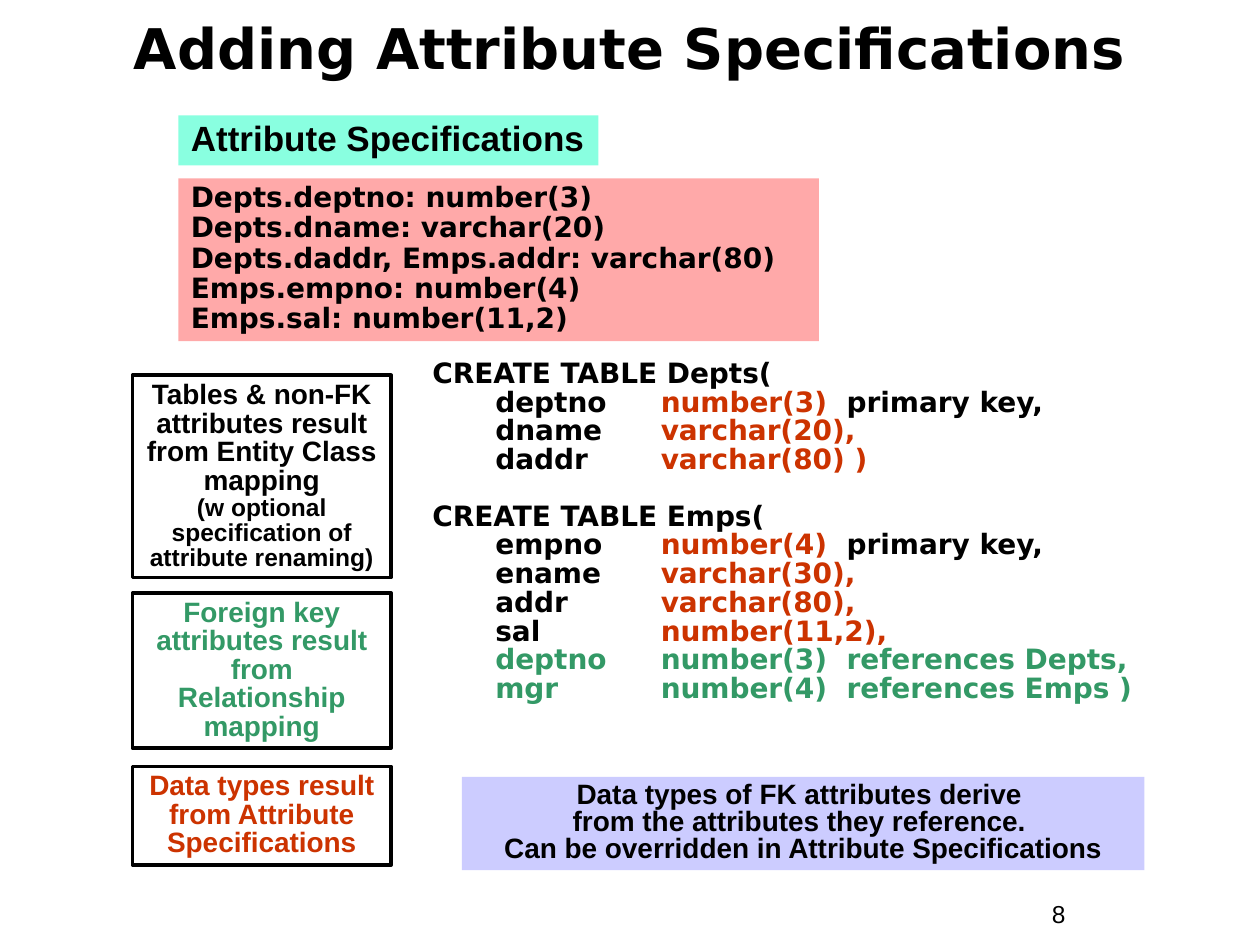
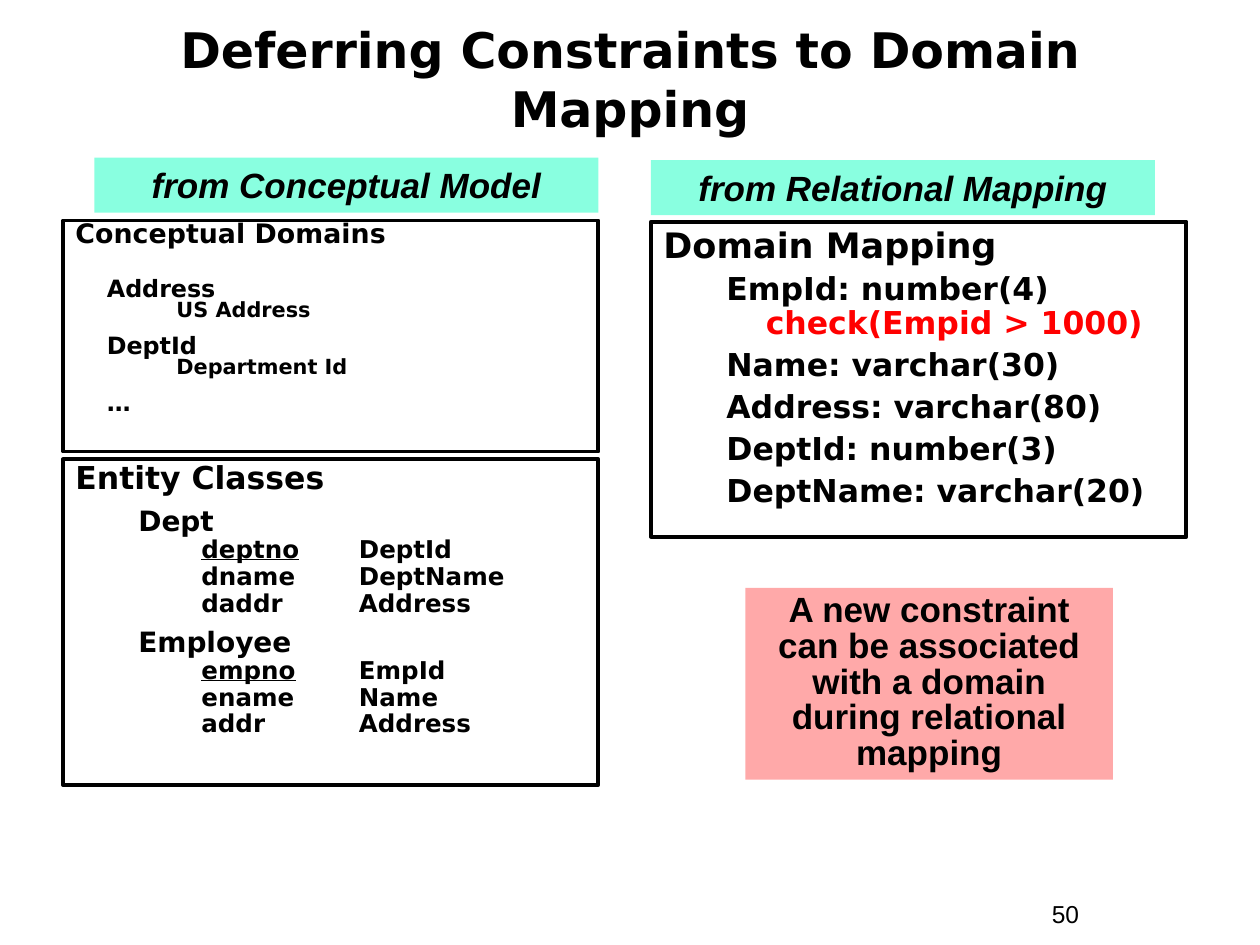
from dataclasses import dataclass

from lxml import etree
from pptx import Presentation
from pptx.dml.color import RGBColor
from pptx.enum.shapes import MSO_SHAPE
from pptx.enum.text import MSO_ANCHOR, MSO_AUTO_SIZE, PP_ALIGN
from pptx.oxml.ns import qn
from pptx.util import Emu, Pt

RECTANGLE = MSO_SHAPE.RECTANGLE
TOP, MIDDLE = MSO_ANCHOR.TOP, MSO_ANCHOR.MIDDLE
LEFT, CENTER = PP_ALIGN.LEFT, PP_ALIGN.CENTER
NO_AUTOFIT = MSO_AUTO_SIZE.NONE
EMU_PER_PX = 9525
TAB_PX = 96
TITLE_ONLY_LAYOUT = 5


@dataclass(frozen=True)
class Theme:
    sans: str = "Arial"
    wide: str = "DejaVu Sans"
    ink: str = "000000"
    mint: str = "89FFE0"
    pink: str = "FFA9A9"
    lilac: str = "CCCCFF"
    rust: str = "CC3300"
    green: str = "339966"
    red: str = "FF0000"
    heading: float = 20
    subheading: float = 18
    text: float = 16
    small: float = 14
    page_number: float = 14
    domain_sizes: tuple[float, ...] = (15.3, 13.6, 11.9)
    border: float = 2.25


THEME = Theme()


@dataclass(frozen=True)
class Area:
    left: int
    top: int
    width: int
    height: int

    def emu(self) -> list[Emu]:
        return [px(n) for n in (self.left, self.top, self.width, self.height)]


@dataclass(frozen=True)
class Run:
    text: str
    size: float = THEME.text
    color: str = THEME.ink
    underline: bool = False


@dataclass(frozen=True)
class Line:
    runs: tuple[Run, ...]
    before: float = 0
    margin: int = 0
    hanging: int = 0
    tabbed: bool = False


@dataclass(frozen=True)
class Box:
    area: Area
    lines: list[Line]
    spacing: float = 1.0
    fill: str | None = None
    bordered: bool = False
    font: str = THEME.sans
    align: PP_ALIGN = LEFT
    anchor: MSO_ANCHOR = TOP
    bold: bool = True
    italic: bool = False


def px(count: int) -> Emu:
    return Emu(count * EMU_PER_PX)


def add_run(paragraph, run: Run, box: Box) -> None:
    """Add a run, turning each newline into a line break."""
    for index, piece in enumerate(run.text.split("\n")):
        if index:
            paragraph.add_line_break()
        if not piece:
            continue
        text_run = paragraph.add_run()
        text_run.text = piece
        font = text_run.font
        font.name, font.size = box.font, Pt(run.size)
        font.bold, font.italic = box.bold, box.italic
        font.underline = run.underline
        font.color.rgb = RGBColor.from_string(run.color)


def add_tab(properties) -> None:
    properties.set("defTabSz", str(px(TAB_PX)))
    tab_list = etree.SubElement(properties, qn("a:tabLst"))
    etree.SubElement(tab_list, qn("a:tab"), pos=str(px(TAB_PX)), algn="l")


def fill_text(frame, box: Box) -> None:
    frame.word_wrap = True
    frame.auto_size = NO_AUTOFIT
    frame.vertical_anchor = box.anchor
    for index, line in enumerate(box.lines):
        paragraph = frame.add_paragraph() if index else frame.paragraphs[0]
        properties = paragraph._p.get_or_add_pPr()
        properties.set("marL", str(px(line.margin)))
        properties.set("indent", str(px(-line.hanging)))
        if line.tabbed:
            add_tab(properties)
        paragraph.alignment = box.align
        paragraph.line_spacing = box.spacing
        paragraph.space_before = Pt(line.before if index else 0)
        for run in line.runs:
            add_run(paragraph, run, box)


def add_box(slide, box: Box) -> None:
    shape = slide.shapes.add_shape(RECTANGLE, *box.area.emu())
    shape.shadow.inherit = False
    if box.fill:
        shape.fill.solid()
        shape.fill.fore_color.rgb = RGBColor.from_string(box.fill)
    else:
        shape.fill.background()
    if box.bordered:
        shape.line.color.rgb = RGBColor.from_string(THEME.ink)
        shape.line.width = Pt(THEME.border)
    else:
        shape.line.fill.background()
    fill_text(shape.text_frame, box)


def add_slide(presentation, title: str, title_area: Area, title_size: float, number: int):
    """Start a slide with its title and page number."""
    slide = presentation.slides.add_slide(presentation.slide_layouts[TITLE_ONLY_LAYOUT])
    placeholder = slide.shapes.title
    placeholder.left, placeholder.top, placeholder.width, placeholder.height = title_area.emu()
    fill_text(placeholder.text_frame, Box(
        title_area, [plain(title, title_size)], font=THEME.wide, align=CENTER, anchor=MIDDLE))
    number_area = Area(792, 680, 88, 33)
    number_box = slide.shapes.add_textbox(*number_area.emu())
    fill_text(number_box.text_frame, Box(
        number_area, [plain(str(number), THEME.page_number)], bold=False))
    return slide


# Kinds of line
def plain(text: str, size: float = THEME.text, color: str = THEME.ink,
          before: float = 0) -> Line:
    return Line((Run(text, size, color),), before)


def indented(*runs: Run, before: float) -> Line:
    return Line(runs, before, margin=78, hanging=30, tabbed=True)


def column(name: str, data_type: str, rest: str = "", color: str | None = None) -> Line:
    """A column of a CREATE TABLE statement; one colour covers the whole line if given."""
    ink, type_color = color or THEME.ink, color or THEME.rust
    return indented(Run(f"{name}\t", color=ink), Run(data_type, color=type_color),
                    Run(rest, color=ink), before=2)


def domain_line(text: str, level: int, before: float) -> Line:
    margin, hanging = ((0, 0), (54, 30), (101, 24))[level]
    return Line((Run(text, THEME.domain_sizes[level]),), before, margin, hanging)


def entity_lines(entity: str, key: tuple[str, str], *others: tuple[str, str]) -> list[Line]:
    lines = [indented(Run(entity), before=8)]
    for attribute in (key, *others):
        name, domain = attribute
        runs = (Run(name, THEME.small, underline=attribute == key),
                Run(f"\t{domain}", THEME.small))
        lines.append(Line(runs, 1.8, margin=120, hanging=24, tabbed=True))
    return lines


def mapping_line(*runs: Run) -> Line:
    return indented(*runs, before=4.5)


# Kinds of box
def note(top: int, height: int, *runs: Run) -> Box:
    return Box(Area(101, top, 197, height), [Line(runs)], 0.85, bordered=True,
               align=CENTER, anchor=MIDDLE)


def source_label(left: int, top: int, text: str) -> Box:
    return Box(Area(left, top, 384, 42), [plain(text, THEME.heading)], fill=THEME.mint,
               align=CENTER, italic=True)


def build_specifications(presentation) -> None:
    slide = add_slide(presentation, "Adding Attribute Specifications",
                      Area(72, 8, 816, 56), 32, 8)
    specifications = ("Depts.deptno: number(3)", "Depts.dname: varchar(20)",
                      "Depts.daddr, Emps.addr: varchar(80)", "Emps.empno: number(4)",
                      "Emps.sal: number(11,2)")
    statements = [
        plain("CREATE TABLE Depts("),
        column("deptno", "number(3)", "  primary key,"),
        column("dname", "varchar(20),"),
        column("daddr", "varchar(80) )"),
        plain("CREATE TABLE Emps(", before=18),
        column("empno", "number(4)", "  primary key,"),
        column("ename", "varchar(30),"),
        column("addr", "varchar(80),"),
        column("sal", "number(11,2),"),
        column("deptno", "number(3)", "  references Depts,", THEME.green),
        column("mgr", "number(4)", "  references Emps )", THEME.green),
    ]
    derivation = ("Data types of FK attributes derive \nfrom the attributes they reference. \n"
                  "Can be overridden in Attribute Specifications")
    boxes = [
        Box(Area(320, 272, 584, 328), statements, 0.75, font=THEME.wide),
        Box(Area(136, 88, 320, 38), [plain("Attribute Specifications", THEME.heading)],
            0.9, fill=THEME.mint),
        Box(Area(136, 136, 488, 124), [plain(text, before=1) for text in specifications],
            0.85, fill=THEME.pink, font=THEME.wide),
        note(286, 154,
             Run("Tables & non-FK attributes result from Entity Class mapping\n"),
             Run("(w optional specification of attribute renaming)", THEME.small)),
        note(452, 118, Run("Foreign key attributes result from Relationship mapping",
                           color=THEME.green)),
        note(584, 75, Run("Data types result from Attribute Specifications",
                          color=THEME.rust)),
        Box(Area(352, 592, 520, 71), [plain(derivation)], 0.8, fill=THEME.lilac,
            align=CENTER),
    ]
    for box in boxes:
        add_box(slide, box)


def build_constraints(presentation) -> None:
    slide = add_slide(presentation, "Deferring Constraints to Domain Mapping",
                      Area(32, 16, 896, 88), 28, 50)
    domains = [
        domain_line("Conceptual Domains", 0, 0),
        domain_line("Address", 1, 20),
        domain_line("US Address", 2, 1.8),
        domain_line("DeptId", 1, 11),
        domain_line("Department Id", 2, 1.8),
        domain_line("…", 1, 11),
    ]
    entities = [
        plain("Entity Classes", THEME.subheading),
        *entity_lines("Dept", ("deptno", "DeptId"), ("dname", "DeptName"),
                      ("daddr", "Address")),
        *entity_lines("Employee", ("empno", "EmpId"), ("ename", "Name"),
                      ("addr", "Address")),
    ]
    simple_mappings = ("Name: varchar(30)", "Address: varchar(80)", "DeptId: number(3)",
                       "DeptName: varchar(20)")
    mappings = [
        plain("Domain Mapping", THEME.heading),
        mapping_line(Run("EmpId: number(4) \n", THEME.subheading),
                     Run("check(Empid > 1000)", THEME.subheading, THEME.red)),
        *(mapping_line(Run(text, THEME.subheading)) for text in simple_mappings),
    ]
    remark = "A new constraint can be associated with a domain during relational mapping"
    boxes = [
        Box(Area(48, 168, 408, 176), domains, 0.65, bordered=True, font=THEME.wide),
        source_label(72, 120, "from Conceptual Model"),
        Box(Area(568, 448, 280, 146), [plain(remark, THEME.heading)], 0.85,
            fill=THEME.pink, align=CENTER),
        Box(Area(48, 350, 408, 248), entities, 0.8, bordered=True, font=THEME.wide),
        Box(Area(496, 169, 408, 240), mappings, 0.9, bordered=True, font=THEME.wide),
        source_label(496, 122, "from Relational Mapping"),
    ]
    for box in boxes:
        add_box(slide, box)


def main() -> None:
    presentation = Presentation()
    presentation.slide_width, presentation.slide_height = px(960), px(720)
    build_specifications(presentation)
    build_constraints(presentation)
    presentation.save("out.pptx")


if __name__ == "__main__":
    main()
